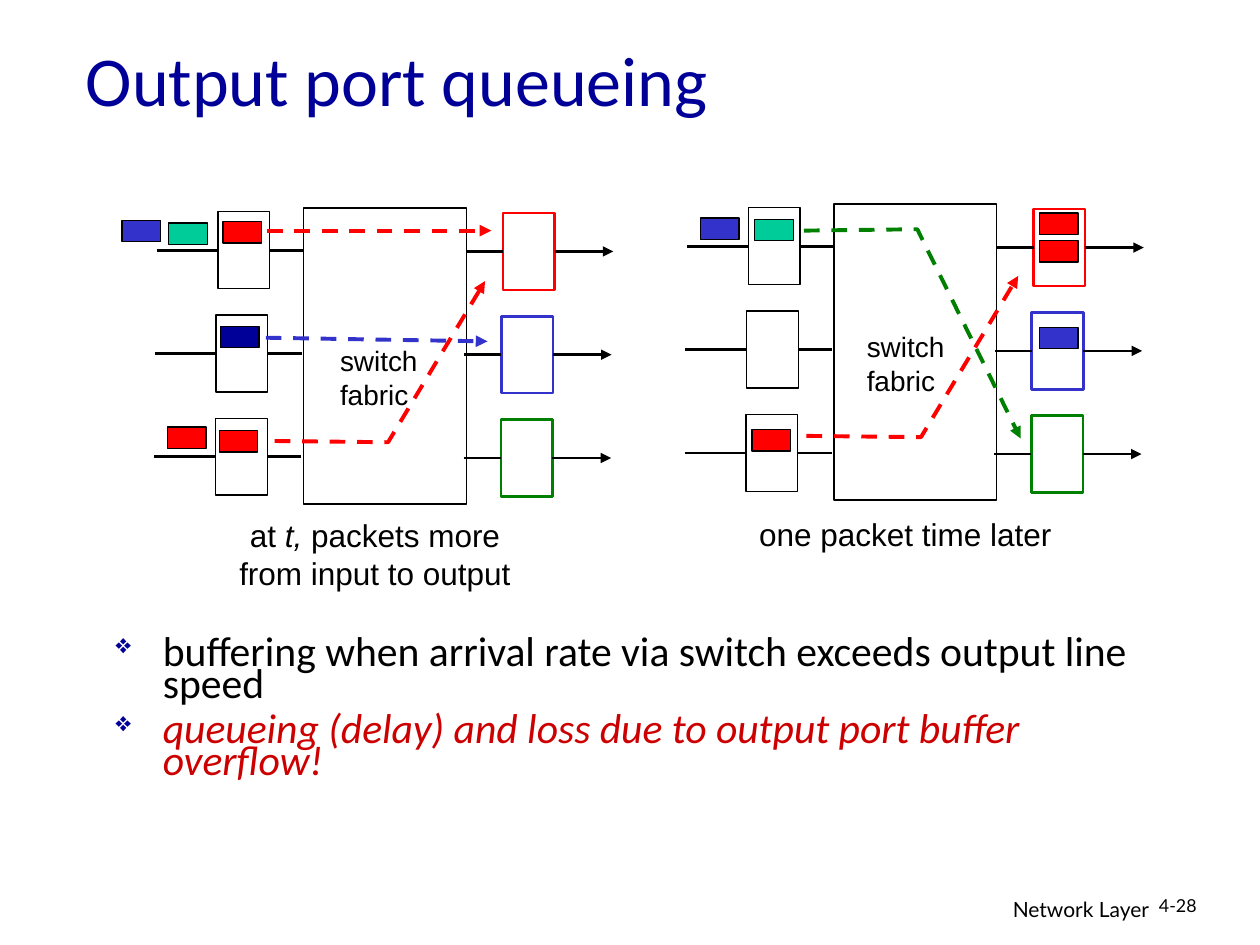
from dataclasses import dataclass
from typing import NamedTuple

from lxml.etree import SubElement
from pptx import Presentation
from pptx.dml.color import RGBColor
from pptx.enum.dml import MSO_LINE
from pptx.enum.shapes import MSO_CONNECTOR, MSO_SHAPE
from pptx.enum.text import MSO_ANCHOR, MSO_AUTO_SIZE, PP_ALIGN
from pptx.oxml.ns import qn
from pptx.util import Pt

BLACK, WHITE, RED = "000000", "FFFFFF", "FF0000"
BLUE, NAVY, GREEN, TEAL, CRIMSON = "3333CC", "000099", "008000", "00CC99", "CC0000"
LEFT_SIDE, RIGHT_SIDE = 1, 3
PORT_SIZE = (29.5, 44)
PACKET_SIZE = (22, 12.2)
FABRIC_SIZE = (93, 169.2)
LABEL_SIZE = (70, 46)


class Row(NamedTuple):
    dx: float
    dy: float
    output_color: str


class Packet(NamedTuple):
    x: float
    y: float
    color: str


class Flow(NamedTuple):
    color: str
    points: list


class Words(NamedTuple):
    text: str
    color: str = BLACK
    italic: bool = False


@dataclass
class Stage:
    fabric: tuple
    label: tuple
    caption: tuple
    caption_lines: list
    packets: list
    flows: list


ROWS = [Row(0, 0, RED), Row(-1, 59, BLUE), Row(-1.3, 118, GREEN)]

STAGES = [
    Stage(
        fabric=(173.5, 118.8),
        label=(187.2, 193),
        caption=(117.4, 291.6, 193.7, 50.4),
        caption_lines=[
            [Words("at "), Words("t,", italic=True), Words(" packets more")],
            [Words("from input to output")],
        ],
        packets=[
            Packet(127.4, 126.7, RED), Packet(126, 186.5, NAVY),
            Packet(125.3, 246.2, RED), Packet(96.5, 127.4, TEAL),
            Packet(95.8, 244.1, RED), Packet(69.8, 126, BLUE),
        ],
        flows=[
            Flow(RED, [(152.6, 131.8), (280.8, 131.8)]),
            Flow(RED, [(157, 252), (221.8, 252.7), (277.2, 160.6)]),
            Flow(BLUE, [(151.9, 193), (278.6, 195.1)]),
        ],
    ),
    Stage(
        fabric=(476.6, 116.6),
        label=(488.2, 185),
        caption=(420.5, 290.9, 193.7, 28.8),
        caption_lines=[[Words("one packet time later")]],
        packets=[
            Packet(594, 121.7, RED), Packet(594, 187.2, BLUE),
            Packet(594, 137.5, RED), Packet(431.3, 125.3, TEAL),
            Packet(429.8, 245.5, RED), Packet(400.3, 124.6, BLUE),
        ],
        flows=[
            Flow(RED, [(460.8, 249.1), (526.3, 249.8), (581.8, 157.7)]),
            Flow(GREEN, [(459.4, 131.8), (524.2, 131), (583.2, 250.6)]),
        ],
    ),
]


def rgb(color: str) -> RGBColor:
    return RGBColor.from_string(color)


def apply(target, values: dict) -> None:
    for name, value in values.items():
        setattr(target, name, value)


def stroke(line, color: str, width: float, arrow: bool = False, dashed: bool = False) -> None:
    line.color.rgb = rgb(color)
    line.width = Pt(width)
    if dashed:
        line.dash_style = MSO_LINE.DASH
    if arrow:
        SubElement(line._get_or_add_ln(), qn("a:tailEnd"), type="triangle")


def add_box(slide, origin: tuple, size: tuple, fill=WHITE, outline=BLACK, width=0.75):
    box = slide.shapes.add_shape(MSO_SHAPE.RECTANGLE, *map(Pt, origin + size))
    box.shadow.inherit = False
    box.fill.solid()
    box.fill.fore_color.rgb = rgb(fill)
    stroke(box.line, outline, width)
    return box


def add_line(slide, start: tuple, end: tuple, color=BLACK, width=1.5, arrow=False, dashed=False):
    link = slide.shapes.add_connector(MSO_CONNECTOR.STRAIGHT, *map(Pt, start + end))
    stroke(link.line, color, width, arrow, dashed)
    SubElement(link._element.spPr, qn("a:effectLst"))
    return link


def add_flow(slide, flow: Flow) -> None:
    if len(flow.points) == 2:
        add_line(slide, *flow.points, flow.color, 2.25, arrow=True, dashed=True)
        return
    start, *bends = [tuple(map(Pt, point)) for point in flow.points]
    builder = slide.shapes.build_freeform(*start)
    builder.add_line_segments(bends, close=False)
    route = builder.convert_to_shape()
    route.shadow.inherit = False
    route.fill.background()
    stroke(route.line, flow.color, 2.25, arrow=True, dashed=True)


def write(frame, lines: list, font: dict, layout: dict, bullet: bool = False) -> None:
    for index, line in enumerate(lines):
        paragraph = frame.add_paragraph() if index else frame.paragraphs[0]
        if bullet:
            properties = paragraph._p.get_or_add_pPr()
            properties.set("marL", str(Pt(27)))
            properties.set("indent", str(Pt(-27)))
            SubElement(SubElement(properties, qn("a:buClr")), qn("a:srgbClr"), val=NAVY)
            SubElement(properties, qn("a:buSzPct"), val="65000")
            SubElement(properties, qn("a:buChar"), char="❖")
            if index:
                paragraph.space_before = Pt(7)
        apply(paragraph, layout)
        for words in line:
            run = paragraph.add_run()
            run.text = words.text
            apply(run.font, font | {"italic": words.italic})
            run.font.color.rgb = rgb(words.color)


def add_text(slide, area: tuple, lines: list, font: dict, layout: dict, bullet=False) -> None:
    frame = slide.shapes.add_textbox(*map(Pt, area)).text_frame
    frame.word_wrap = True
    write(frame, lines, font, layout, bullet)


def add_row(slide, fabric: tuple, row: Row) -> None:
    x, y = fabric[0] + row.dx, fabric[1] + row.dy
    input_port = add_box(slide, (x - 49, y + 2.2), PORT_SIZE)
    output_port = add_box(slide, (x + 114, y + 2.9), PORT_SIZE, outline=row.output_color, width=1.5)
    input_y, output_y = y + 24.2, y + 24.9
    arrival = add_line(slide, (x - 84, input_y), (x - 49, input_y))
    arrival.end_connect(input_port, LEFT_SIDE)
    entry = add_line(slide, (x - 19.5, input_y), (x, input_y))
    entry.begin_connect(input_port, RIGHT_SIDE)
    leaving = add_line(slide, (x + 92.7, output_y), (x + 114, output_y))
    leaving.end_connect(output_port, LEFT_SIDE)
    departure = add_line(slide, (x + 143.5, output_y), (x + 177, output_y), arrow=True)
    departure.begin_connect(output_port, RIGHT_SIDE)


def add_stage(slide, stage: Stage) -> None:
    add_box(slide, stage.fabric, FABRIC_SIZE)
    for row in ROWS:
        add_row(slide, stage.fabric, row)
    for packet in stage.packets:
        add_box(slide, (packet.x, packet.y), PACKET_SIZE, packet.color)
    add_text(slide, stage.label + LABEL_SIZE, [[Words("switch")], [Words("fabric")]],
             {"name": "Arial", "size": Pt(16)}, {"alignment": PP_ALIGN.LEFT})
    for flow in stage.flows:
        add_flow(slide, flow)
    add_text(slide, stage.caption, stage.caption_lines,
             {"name": "Arial", "size": Pt(18)}, {"alignment": PP_ALIGN.CENTER})


def main() -> None:
    deck = Presentation()
    apply(deck, {"slide_width": Pt(720), "slide_height": Pt(540)})
    slide = deck.slides.add_slide(deck.slide_layouts[5])
    title = slide.shapes.title
    apply(title, {"left": Pt(41.8), "top": Pt(15.8), "width": Pt(612), "height": Pt(57.6)})
    apply(title.text_frame, {"vertical_anchor": MSO_ANCHOR.MIDDLE, "auto_size": MSO_AUTO_SIZE.NONE})
    write(title.text_frame, [[Words("Output port queueing", NAVY)]],
          {"name": "Calibri", "size": Pt(40)}, {"alignment": PP_ALIGN.LEFT})
    for stage in STAGES:
        add_stage(slide, stage)
    points = [
        [Words("buffering when arrival rate via switch exceeds output line speed")],
        [Words("queueing (delay) and loss due to output port buffer overflow!", CRIMSON, True)],
    ]
    add_text(slide, (59, 362.2, 612, 93.6), points, {"name": "Calibri", "size": Pt(23.8)},
             {"line_spacing": 0.65}, bullet=True)
    add_text(slide, (435.6, 509, 228.2, 22.3), [[Words("Network Layer")]],
             {"name": "Lato", "size": Pt(12)}, {"alignment": PP_ALIGN.RIGHT})
    add_text(slide, (655.2, 509, 53.3, 21.6), [[Words("4-28")]],
             {"name": "Lato", "size": Pt(10.2)}, {"line_spacing": 0.9})
    deck.save("out.pptx")


if __name__ == "__main__":
    main()
